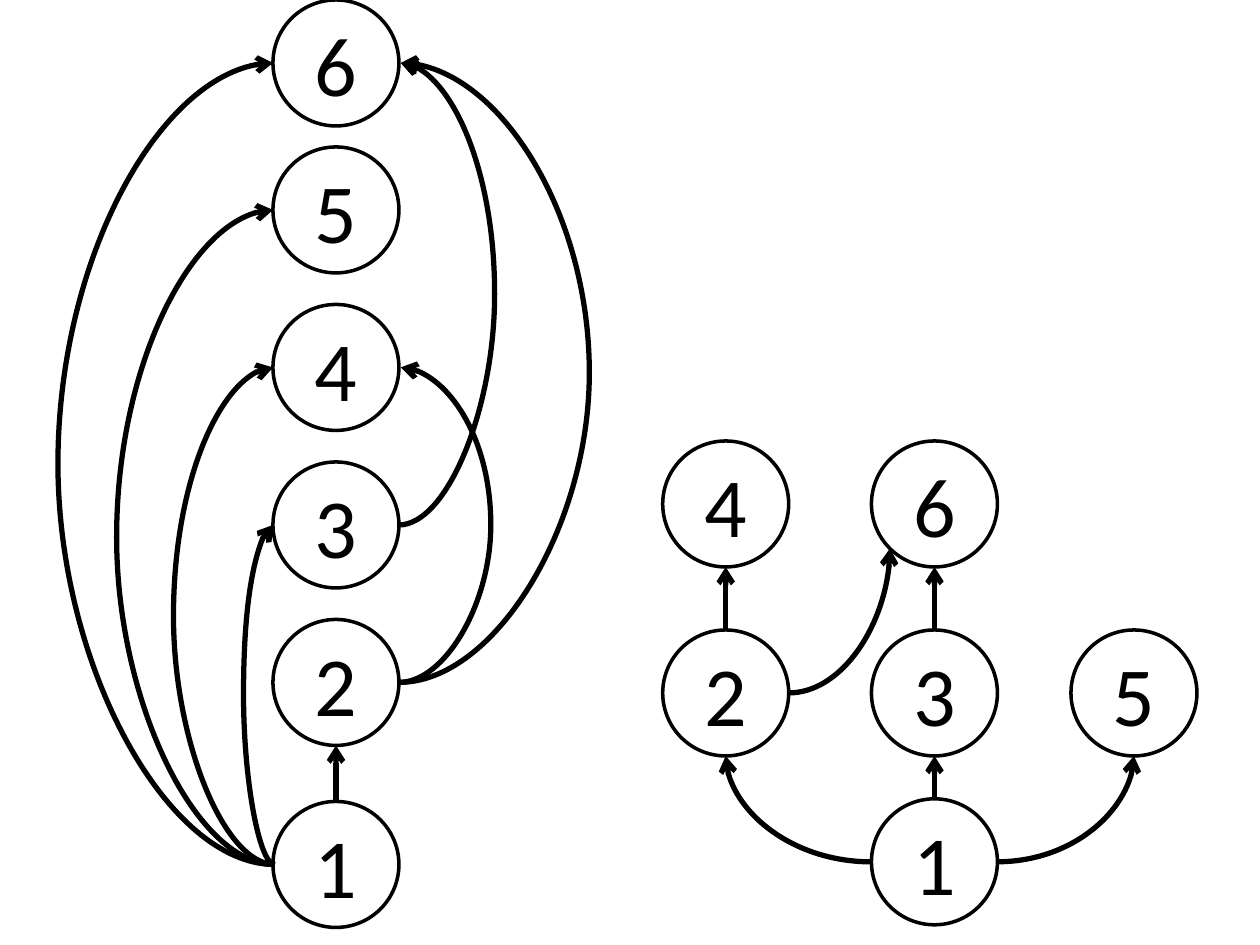
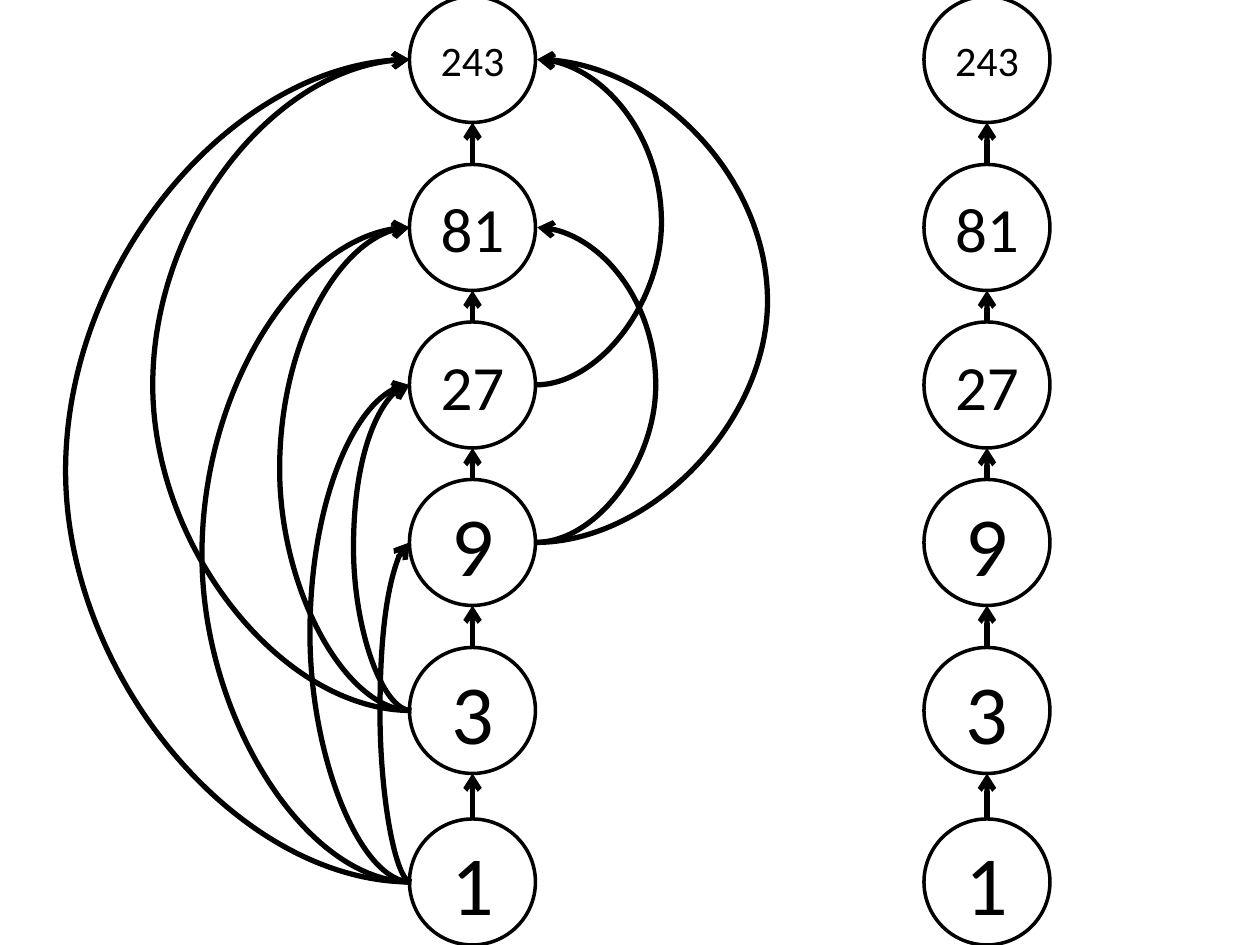
"""Builds two slides of divisibility graphs: full order relations and their Hasse diagrams."""
from math import cos, radians, sin

from lxml.etree import SubElement
from pptx import Presentation
from pptx.dml.color import RGBColor
from pptx.enum.shapes import MSO_CONNECTOR as CONN, MSO_SHAPE as SHAPE
from pptx.enum.text import MSO_ANCHOR as ANCHOR, PP_ALIGN as ALIGN
from pptx.oxml.ns import qn
from pptx.util import Pt

INK = "000000"
FONT = "Calibri"
RADIUS = 36

DIVISORS_Y = {"1": 494, "2": 390, "3": 300, "4": 210, "5": 120, "6": 36}
POWERS_Y = {"1": 504, "3": 406, "9": 310, "27": 220, "81": 130, "243": 34}
POWER_STEPS = list(zip(POWERS_Y, list(POWERS_Y)[1:]))


def column(x, levels):
    return {label: (x, y) for label, y in levels.items()}


# steps: (from, to); arcs: (from, to, bulge, negative = left); bends: (from, to, side, end angle)
SLIDES = [
    [
        {
            "nodes": column(192, DIVISORS_Y),
            "steps": [("1", "2")],
            "arcs": [
                ("1", "3", -18), ("1", "4", -58.36), ("1", "5", -91.09), ("1", "6", -124.91),
                ("2", "4", 52.91), ("2", "6", 109.64), ("3", "6", 55.09),
            ],
        },
        {
            "nodes": {
                "1": (534, 492.5), "2": (414.7, 396), "3": (534, 396),
                "4": (414.7, 288), "5": (648, 396), "6": (534, 288),
            },
            "steps": [("1", "3"), ("3", "6"), ("2", "4")],
            "bends": [("1", "5", 1, 90), ("1", "2", -1, 90), ("2", "6", 1, 135)],
        },
    ],
    [
        {
            "nodes": column(270, POWERS_Y),
            "steps": POWER_STEPS,
            "arcs": [
                ("1", "9", -18), ("1", "27", -58.36), ("1", "81", -120.55), ("1", "243", -199.09),
                ("3", "27", -33.27), ("3", "81", -75.82), ("3", "243", -148.91),
                ("9", "81", 69.27), ("9", "243", 133.64), ("27", "243", 72.55),
            ],
        },
        {"nodes": column(564, POWERS_Y), "steps": POWER_STEPS},
    ],
]


def rgb(value):
    return RGBColor.from_string(value)


def add_node(s, label, x, y):
    sp = s.shapes.add_shape(SHAPE.OVAL, Pt(x - RADIUS), Pt(y - RADIUS), Pt(2 * RADIUS), Pt(2 * RADIUS))
    sp.shadow.inherit = False
    sp.fill.background()
    sp.line.color.rgb = rgb(INK)
    sp.line.width = Pt(2)
    tf = sp.text_frame
    tf.word_wrap = False
    tf.vertical_anchor = ANCHOR.MIDDLE
    p = tf.paragraphs[0]
    p.alignment = ALIGN.CENTER
    r = p.add_run()
    r.text = label
    r.font.name = FONT
    r.font.size = Pt(60 - 12 * len(label))
    r.font.color.rgb = rgb(INK)


def add_arrow(s, start, end, kind=CONN.STRAIGHT):
    cxn = s.shapes.add_connector(kind, *(Pt(v) for v in (*start, *end)))
    cxn.line.color.rgb = rgb(INK)
    cxn.line.width = Pt(3)
    props = cxn.element.spPr
    SubElement(props.find(qn("a:ln")), qn("a:tailEnd"), type="arrow")
    SubElement(props, qn("a:effectLst"))
    xfrm = props.find(qn("a:xfrm"))
    if xfrm.get("flipH") and xfrm.get("flipV"):
        del xfrm.attrib["flipH"], xfrm.attrib["flipV"]
        xfrm.set("rot", "10800000")
    return props.find(qn("a:prstGeom"))


def add_arc(s, a, b, bulge):
    side = 1 if bulge > 0 else -1
    edge = a[0] + side * RADIUS
    near, far = (edge, edge + 1) if side > 0 else (edge + 1, edge)
    geom = add_arrow(s, (near, a[1]), (far, b[1]), CONN.CURVE)
    guides = geom.find(qn("a:avLst"))
    if guides is None:
        guides = SubElement(geom, qn("a:avLst"))
    SubElement(guides, qn("a:gd"), name="adj1", fmla=f"val {round(abs(bulge) * 100000)}")


def add_bend(s, a, b, side, angle):
    turn = radians(angle)
    end = (b[0] + RADIUS * cos(turn), b[1] + RADIUS * sin(turn))
    add_arrow(s, (a[0] + side * RADIUS, a[1]), end, CONN.CURVE).set("prst", "curvedConnector2")


def add_graph(s, graph):
    nodes = graph["nodes"]
    for label, (x, y) in nodes.items():
        add_node(s, label, x, y)
    for low, high in graph["steps"]:
        (x, y), (_, top) = nodes[low], nodes[high]
        add_arrow(s, (x, y - RADIUS), (x, top + RADIUS))
    for low, high, bulge in graph.get("arcs", []):
        add_arc(s, nodes[low], nodes[high], bulge)
    for low, high, side, angle in graph.get("bends", []):
        add_bend(s, nodes[low], nodes[high], side, angle)


def main():
    prs = Presentation()
    prs.slide_width, prs.slide_height = Pt(720), Pt(540)
    for graphs in SLIDES:
        s = prs.slides.add_slide(prs.slide_layouts[6])
        for graph in graphs:
            add_graph(s, graph)
    prs.save("out.pptx")


if __name__ == "__main__":
    main()
